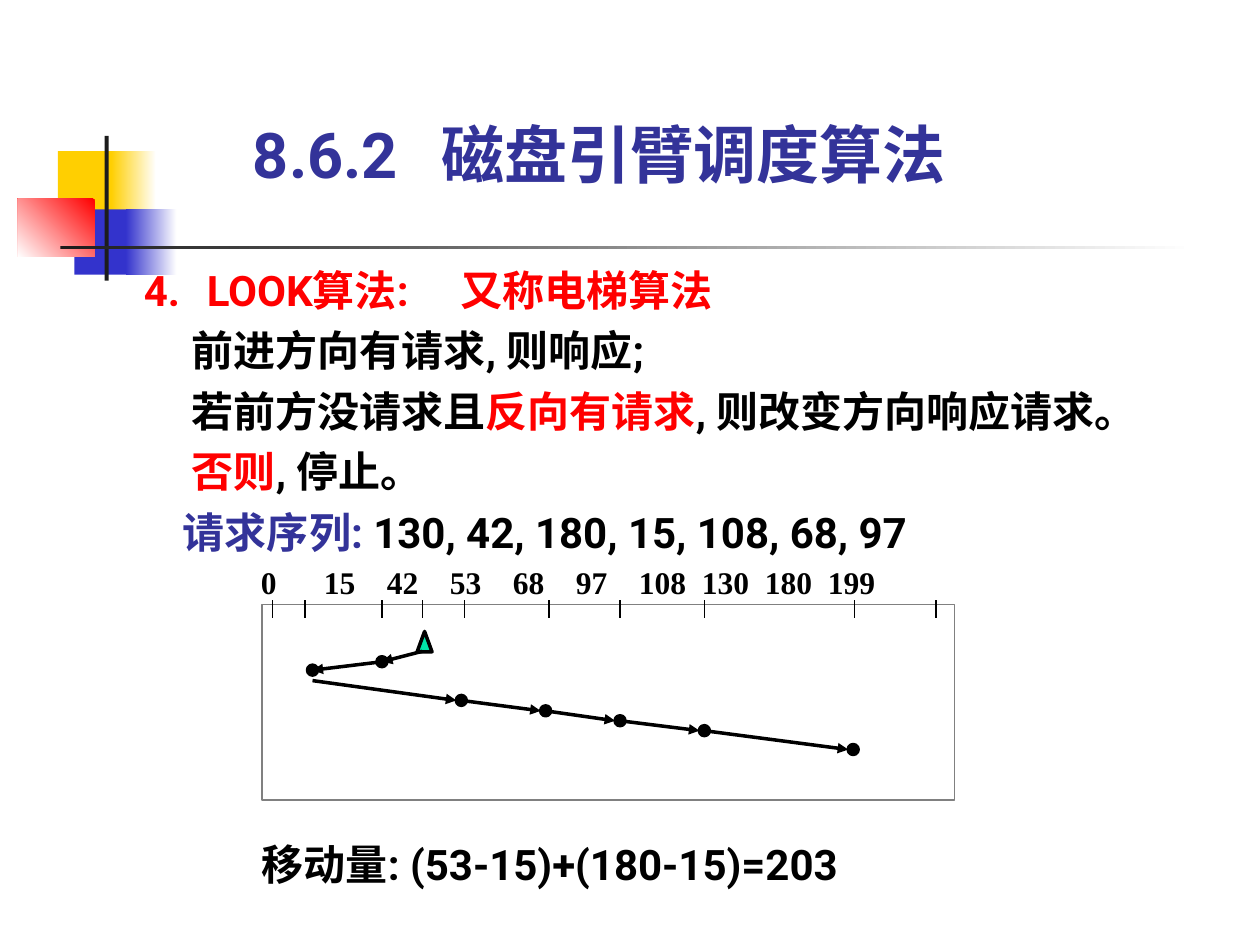
from lxml import etree
from pptx import Presentation
from pptx import util as u
from pptx.dml.color import RGBColor
from pptx.enum import shapes, text
from pptx.oxml.ns import qn

COLORS = {
    "white": "FFFFFF", "black": "000000", "ink": "1C1C1C", "grey": "808080",
    "yellow": "FFCF01", "blue": "3333CC", "red": "FF0000",
    "navy": "333399", "green": "00E4A8",
}
SHAPE = shapes.MSO_SHAPE
DOT = 0.2  # diameter of a request dot, cm


def rgb(name):
    return RGBColor.from_string(COLORS[name])


def add_shape(s, kind, x, y, w, h, fill=None, line=None, width=0.75, fade=None):
    """Add a preset shape; fade is the angle along which the fill turns white."""
    sp = s.shapes.add_shape(kind, u.Cm(x), u.Cm(y), u.Cm(w), u.Cm(h))
    sp.shadow.inherit = False
    if fade is not None:
        sp.fill.gradient()
        sp.fill.gradient_angle = fade
        for stop, name in zip(sp.fill.gradient_stops, (fill, "white")):
            stop.color.rgb = rgb(name)
    elif fill:
        sp.fill.solid()
        sp.fill.fore_color.rgb = rgb(fill)
    else:
        sp.fill.background()
    if line:
        sp.line.color.rgb = rgb(line)
        sp.line.width = u.Pt(width)
    else:
        sp.line.fill.background()
    return sp


def add_line(s, start, end, width=0.75, arrow=False):
    cx = s.shapes.add_connector(shapes.MSO_CONNECTOR.STRAIGHT,
                                *(u.Cm(v) for v in (*start, *end)))
    cx.line.color.rgb = rgb("black")
    cx.line.width = u.Pt(width)
    if arrow:
        etree.SubElement(cx.line._get_or_add_ln(), qn("a:tailEnd"), type="triangle")
    etree.SubElement(cx._element.spPr, qn("a:effectLst"))
    return cx


def prepare_frame(sp, anchor=text.MSO_ANCHOR.TOP):
    tf = sp.text_frame
    tf.word_wrap = True
    tf.auto_size = text.MSO_AUTO_SIZE.NONE
    tf.vertical_anchor = anchor
    tf.margin_left = tf.margin_right = tf.margin_top = tf.margin_bottom = 0
    return tf


def add_text_box(s, x, y, w, h):
    return prepare_frame(s.shapes.add_textbox(u.Cm(x), u.Cm(y), u.Cm(w), u.Cm(h)))


def write(p, runs, size=24, font="Roboto", spacing=None, indent=0, tabs=(), number=None):
    """Fill a paragraph with (text, colour) runs; number starts a numbered list."""
    p.alignment = text.PP_ALIGN.LEFT
    if spacing:
        p.line_spacing = spacing
    pPr = p._p.get_or_add_pPr()
    pPr.set("marL", str(u.Cm(indent)))
    pPr.set("indent", str(-u.Cm(indent) if number else 0))
    if number:
        clr = etree.SubElement(pPr, qn("a:buClr"))
        etree.SubElement(clr, qn("a:srgbClr"), val=COLORS[runs[0][1]])
        etree.SubElement(pPr, qn("a:buAutoNum"), type="arabicPeriod", startAt=str(number))
    if tabs:
        tab_list = etree.SubElement(pPr, qn("a:tabLst"))
        for pos in tabs:
            etree.SubElement(tab_list, qn("a:tab"), pos=str(u.Cm(pos)), algn="l")
    for words, color in runs:
        r = p.add_run()
        r.text = words
        r.font.name = font
        r.font.size = u.Pt(size)
        r.font.bold = True
        r.font.color.rgb = rgb(color)


def add_decoration(s):
    for x, y, w, h, fill, fade in [
        (1.17, 3.05, 1.22, 1.32, "yellow", None),
        (2.24, 3.05, 0.91, 1.32, "yellow", 0),
        (1.5, 4.22, 1.17, 1.32, "blue", None),
        (2.54, 4.22, 1.02, 1.32, "blue", 0),
        (0.36, 4.01, 1.55, 1.17, "red", 225),
        (2.11, 2.74, 0.08, 2.92, "ink", None),
        (1.22, 4.95, 22.86, 0.08, "ink", 0),
    ]:
        add_shape(s, SHAPE.RECTANGLE, x, y, w, h, fill, fade=fade)


def add_title(s):
    sp = s.shapes.title
    sp.left, sp.top, sp.width, sp.height = (u.Cm(v) for v in (5.1, 2.34, 14.6, 1.52))
    tf = prepare_frame(sp, text.MSO_ANCHOR.BOTTOM)
    write(tf.paragraphs[0], [("8.6.2\t磁盘引臂调度算法", "navy")], size=36, tabs=[3.87])


def add_body(s):
    tf = add_text_box(s, 2.9, 5.13, 20.6, 6.1)
    lines = [
        ([("LOOK算法:\t又称电梯算法", "red")], dict(indent=1.27, number=4, tabs=[6.38])),
        ([("前进方向有请求,\t则响应;", "black")], dict(indent=0.97, tabs=[7.92])),
        ([("若前方没请求且", "black"), ("反向有请求", "red"),
          (", 则改变方向响应请求。", "black")], dict(indent=0.97)),
        ([("否则", "red"), (", 停止。", "black")], dict(indent=0.97)),
        ([("请求序列:", "navy"), (" 130, 42, 180, 15, 108, 68, 97", "black")],
         dict(indent=0.79)),
    ]
    for i, (runs, layout) in enumerate(lines):
        p = tf.add_paragraph() if i else tf.paragraphs[0]
        write(p, runs, spacing=1.2, **layout)

    # Total head movement
    tf = add_text_box(s, 5.28, 16.71, 14.63, 1.22)
    write(tf.paragraphs[0], [("移动量: (53-15)+(180-15)=203", "black")], spacing=1.2)


def add_track_axis(s):
    add_shape(s, SHAPE.RECTANGLE, 5.28, 12.19, 13.97, 3.94, line="grey")
    tracks = [0, 15, 42, 53, 68, 97, 108, 130, 180, 199]
    tf = add_text_box(s, 5.26, 11.35, 13.94, 0.76)
    write(tf.paragraphs[0], [("\t".join(map(str, tracks)), "black")], size=18,
          font="Times New Roman",
          tabs=[0.63, 2.05, 3, 3.96, 5.53, 6.81, 8.56, 11.28, 12.85])
    for x in (5.49, 6.15, 7.7, 8.51, 9.37, 11.07, 12.5, 14.2, 17.22, 18.87):
        add_line(s, (x, 12.1), (x, 12.45))


def add_head_path(s):
    add_shape(s, SHAPE.ISOSCELES_TRIANGLE, 8.41, 12.73, 0.3, 0.41, "green", "black", 2)
    inward = [(8.51, 13.13), (7.7, 13.34), (6.3, 13.51)]
    outward = [(6.3, 13.72), (9.3, 14.12), (11, 14.33), (12.5, 14.53),
               (14.2, 14.73), (17.2, 15.11)]
    # Inward arrows end at a dot's centre, outward ones at its left edge
    for stops, gap in ((inward, 0), (outward, DOT / 2)):
        for start, (x, y) in zip(stops, stops[1:]):
            add_line(s, start, (x - gap, y), 2, arrow=True)
            add_shape(s, SHAPE.OVAL, x - DOT / 2, y - DOT / 2, DOT, DOT,
                      "black", "black", 2)


def main():
    prs = Presentation()
    prs.slide_width, prs.slide_height = u.Cm(25.4), u.Cm(19.05)
    s = prs.slides.add_slide(prs.slide_layouts[5])
    add_decoration(s)
    add_title(s)
    add_body(s)
    add_track_axis(s)
    add_head_path(s)
    prs.save("out.pptx")


if __name__ == "__main__":
    main()
